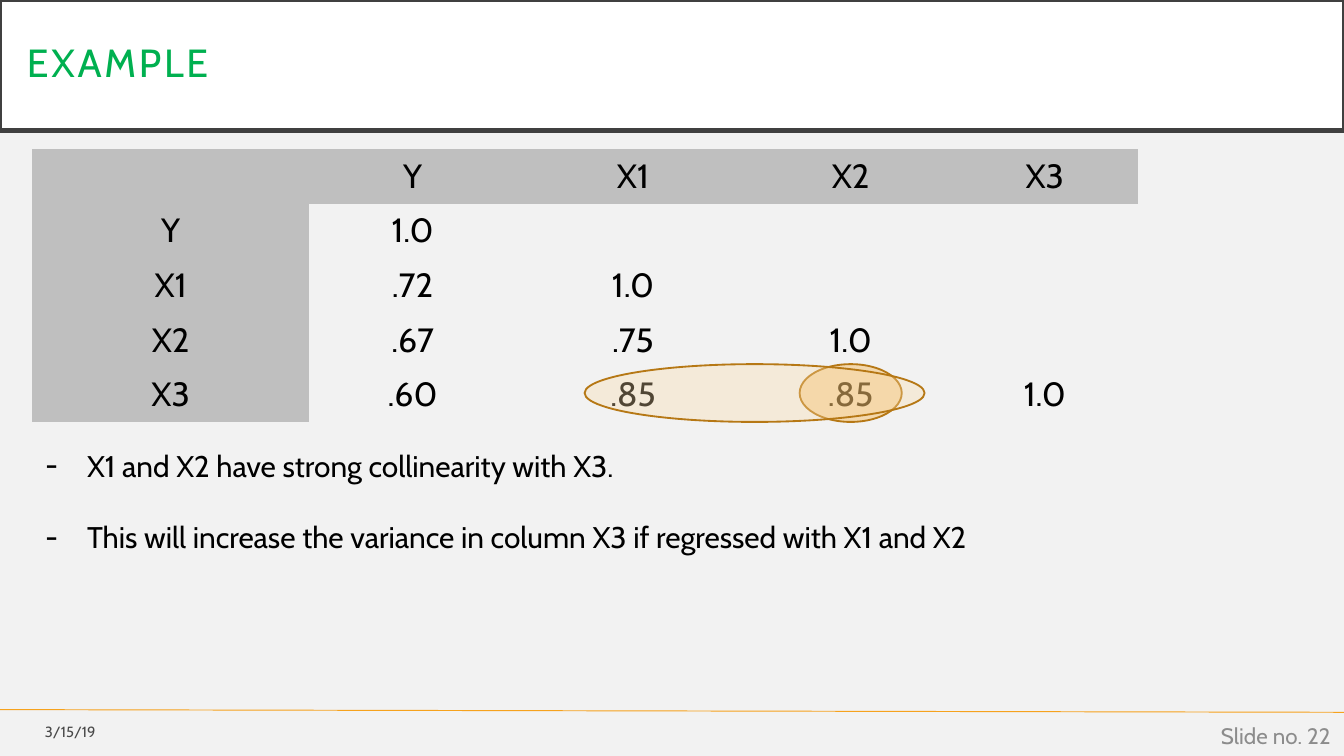
import pptx
import pptx.util
import pptx.dml.color
import pptx.enum.shapes
import pptx.enum.text
import pptx.oxml.ns
import lxml.etree

Inches = pptx.util.Inches
ALIGN = pptx.enum.text.PP_ALIGN
ANCHOR = pptx.enum.text.MSO_ANCHOR
SHAPE = pptx.enum.shapes.MSO_SHAPE

THEME = {
    "font": "Cabin",
    "page": "F2F2F2", "banner": "FFFFFF", "banner_line": "404040", "title": "00B050",
    "text": "000000", "date": "494949", "number": "8C8C8C", "header": "BFBFBF",
    "accent": "F6A21D", "pale": "FBDAA5", "ring": "B67815",
    "title_size": 21, "table_size": 18, "body_size": 16, "number_size": 12, "date_size": 7.9,
}

PAGE_WIDTH = 10
PAGE_HEIGHT = PAGE_WIDTH * 9 / 16

TITLE = "EXAMPLE"
VARIABLES = ["Y", "X1", "X2", "X3"]
CORRELATIONS = [
    ["1.0"],
    [".72", "1.0"],
    [".67", ".75", "1.0"],
    [".60", ".85", ".85", "1.0"],
]
NOTES = [
    "X1 and X2 have strong collinearity with X3.",
    "This will increase the variance in column X3 if regressed with X1 and X2",
]
FOOTERS = [
    ("3/15/19", (0, 5.31, 0.81, 0.27), "date"),
    ("Slide no. 22", (7.75, 5.32, 2.25, 0.3), "number"),
]
TABLE_AREA = (0.24, 1.11, 8.23, 2.03)
COLUMN_WIDTHS = [2.06, 1.54, 1.74, 1.5, 1.39]
HIGHLIGHTS = [(5.95, 0.76, "accent"), (4.35, 2.53, "pale")]
HIGHLIGHT_TOP, HIGHLIGHT_HEIGHT, HIGHLIGHT_OPACITY = 2.71, 0.43, 32
NO_GRID_STYLE = "{2D5ABB26-0587-4C30-8999-92F81FD0307C}"


def rgb(name):
    return pptx.dml.color.RGBColor.from_string(THEME[name])


def lengths(area):
    return [Inches(value) for value in area]


def add_child(parent, tag, **values):
    child = lxml.etree.SubElement(parent, pptx.oxml.ns.qn(tag))
    for name, value in values.items():
        child.set(name, str(value))
    return child


def write(para, text, color, size, align=ALIGN.LEFT):
    para.alignment = align
    span = para.add_run()
    span.text = text
    form = {"name": THEME["font"], "size": pptx.util.Pt(THEME[size])}
    for name, value in form.items():
        setattr(span.font, name, value)
    span.font.color.rgb = rgb(color)
    return span


def add_shape(page, kind, area, fill, line, weight):
    shape = page.shapes.add_shape(kind, *lengths(area))
    shape.shadow.inherit = False
    shape.fill.solid()
    shape.fill.fore_color.rgb = rgb(fill)
    shape.line.color.rgb = rgb(line)
    shape.line.width = pptx.util.Pt(weight)
    return shape


def add_text_frame(page, area, anchor):
    frame = page.shapes.add_textbox(*lengths(area)).text_frame
    frame.word_wrap = True
    frame.vertical_anchor = anchor
    return frame


def add_footer(page):
    rule = page.shapes.add_connector(
        pptx.enum.shapes.MSO_CONNECTOR.STRAIGHT, *lengths((0, 5.28, PAGE_WIDTH, 5.3)))
    rule.line.color.rgb = rgb("accent")
    rule.line.width = pptx.util.Pt(0.5)
    add_child(rule._element.spPr, "a:effectLst")
    for text, area, role in FOOTERS:
        frame = add_text_frame(page, area, ANCHOR.MIDDLE)
        write(frame.paragraphs[0], text, role, role + "_size", ALIGN.RIGHT)


def add_title(page):
    banner = add_shape(page, SHAPE.RECTANGLE, (0, 0, PAGE_WIDTH, 0.97),
                       "banner", "banner_line", 2.5)
    frame = banner.text_frame
    frame.vertical_anchor = ANCHOR.MIDDLE
    for side in ("left", "right", "top", "bottom"):
        setattr(frame, "margin_" + side, Inches(0.2))
    frame.paragraphs[0].line_spacing = 0.9
    span = write(frame.paragraphs[0], TITLE, "title", "title_size")
    span.font._element.set("spc", "150")


def add_matrix(page):
    """Lower-triangular correlation table with shaded row and column headings."""
    rows = [[""] + VARIABLES]
    rows += [[name] + values for name, values in zip(VARIABLES, CORRELATIONS)]
    table = page.shapes.add_table(
        len(rows), len(COLUMN_WIDTHS), *lengths(TABLE_AREA)).table
    table.first_row = table.horz_banding = False
    table._tbl.tblPr.find(pptx.oxml.ns.qn("a:tableStyleId")).text = NO_GRID_STYLE
    for column, width in zip(table.columns, COLUMN_WIDTHS):
        column.width = Inches(width)
    for row_index, row in enumerate(rows):
        for column_index in range(len(COLUMN_WIDTHS)):
            cell = table.cell(row_index, column_index)
            if row_index == 0 or column_index == 0:
                cell.fill.solid()
                cell.fill.fore_color.rgb = rgb("header")
            else:
                cell.fill.background()
            if column_index < len(row) and row[column_index]:
                write(cell.text_frame.paragraphs[0], row[column_index],
                      "text", "table_size", ALIGN.CENTER)


def add_highlights(page):
    for left, width, fill in HIGHLIGHTS:
        area = (left, HIGHLIGHT_TOP, width, HIGHLIGHT_HEIGHT)
        oval = add_shape(page, SHAPE.OVAL, area, fill, "ring", 1)
        color = oval._element.spPr.find(
            pptx.oxml.ns.qn("a:solidFill") + "/" + pptx.oxml.ns.qn("a:srgbClr"))
        add_child(color, "a:alpha", val=HIGHLIGHT_OPACITY * 1000)


def add_notes(page):
    frame = add_text_frame(page, (0.24, 3.28, 9.1, 0.91), ANCHOR.TOP)
    for index, text in enumerate(NOTES):
        para = frame.add_paragraph() if index else frame.paragraphs[0]
        write(para, text, "text", "body_size")
        if index:
            para.space_before = pptx.util.Pt(19)
        properties = para._p.get_or_add_pPr()
        properties.set("marL", str(Inches(0.31)))
        properties.set("indent", str(-Inches(0.31)))
        add_child(properties, "a:buFont", typeface=THEME["font"])
        add_child(properties, "a:buChar", char="-")


def main():
    deck = pptx.Presentation()
    deck.slide_width, deck.slide_height = lengths((PAGE_WIDTH, PAGE_HEIGHT))
    page = deck.slides.add_slide(deck.slide_layouts[6])
    page.background.fill.solid()
    page.background.fill.fore_color.rgb = rgb("page")
    add_footer(page)
    add_title(page)
    add_matrix(page)
    add_highlights(page)
    add_notes(page)
    deck.save("out.pptx")


if __name__ == "__main__":
    main()
